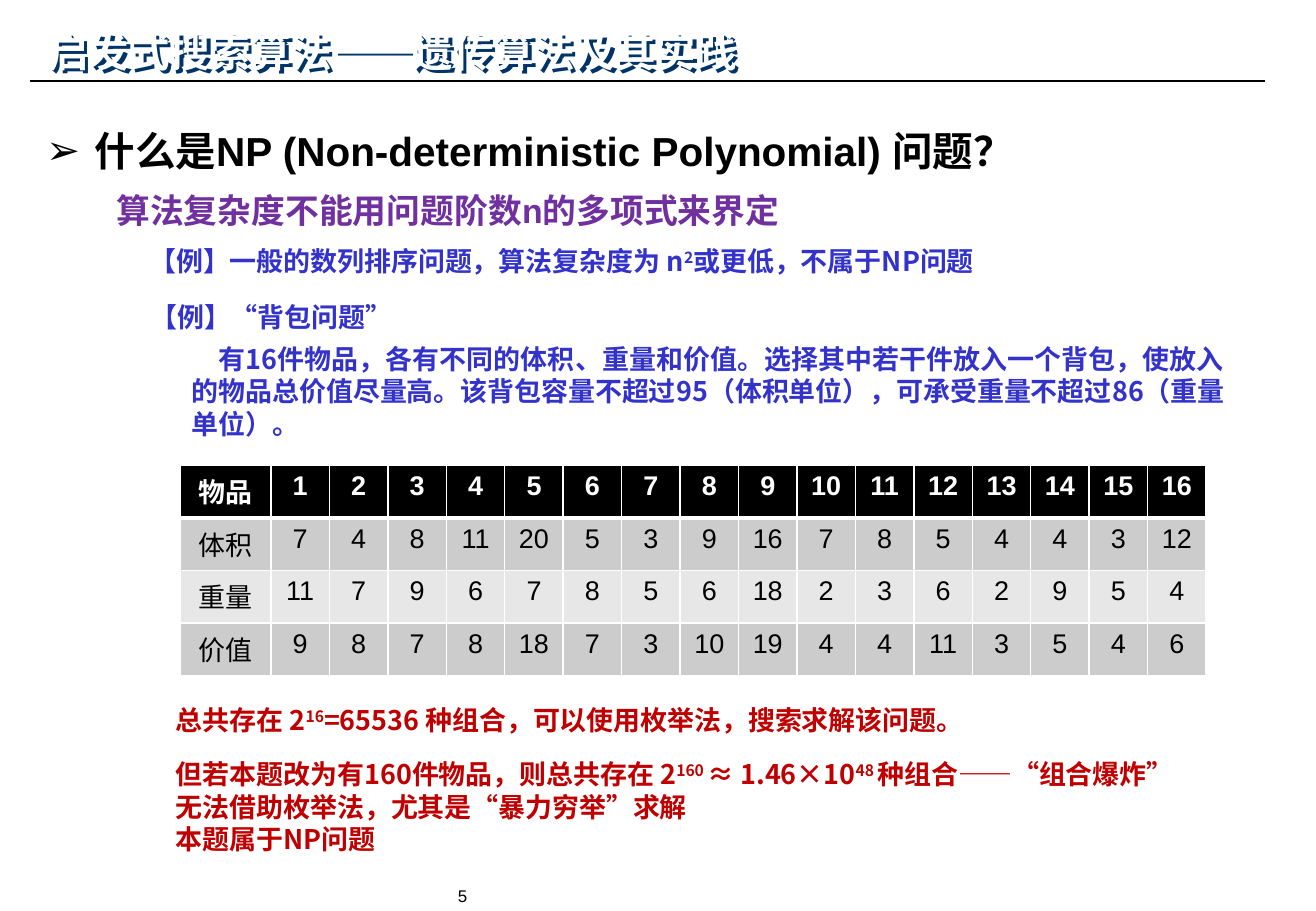
"""Build the slide on NP problems and the knapsack example."""
from lxml import etree
from pptx import Presentation
from pptx.dml.color import RGBColor
from pptx.enum import shapes, text
from pptx.oxml import ns
from pptx.util import Pt

COLORS = {
    "black": "000000", "white": "FFFFFF", "shadow": "003366",
    "purple": "7030A0", "blue": "3333CC", "red": "C00000",
    "dark_band": "CCCCCC", "light_band": "E7E7E7",
}
LATIN, CHINESE = "Arial", "Noto Sans CJK SC"
ITEMS = [
    ["物品", *range(1, 17)],
    ["体积", 7, 4, 8, 11, 20, 5, 3, 9, 16, 7, 8, 5, 4, 4, 3, 12],
    ["重量", 11, 7, 9, 6, 7, 8, 5, 6, 18, 2, 3, 6, 2, 9, 5, 4],
    ["价值", 9, 8, 7, 8, 18, 7, 3, 10, 19, 4, 4, 11, 3, 5, 4, 6],
]
BODY_BOXES = [
    (81.4, 143.3, 668, 21, "blue", ["【例】一般的数列排序问题，算法复杂度为 n^2^或更低，不属于NP问题"], 0),
    (82, 176.4, 668, 21, "blue", ["【例】“背包问题”"], 0),
    (106.6, 201.6, 626.4, 60, "blue", [
        "有16件物品，各有不同的体积、重量和价值。选择其中若干件放入一个背包，使放入的物品总价值尽量高。"
        "该背包容量不超过95（体积单位），可承受重量不超过86（重量单位）。"], 16),
    (97.2, 415.4, 626.4, 21, "red", [
        "总共存在 2^16^=65536 种组合，可以使用枚举法，搜索求解该问题。"], 0),
    (97.2, 447.8, 626.4, 60, "red", [
        "但若本题改为有160件物品，则总共存在 2^160 ^≈ 1.46×10^48 ^种组合——“组合爆炸”",
        "无法借助枚举法，尤其是“暴力穷举”求解",
        "本题属于NP问题"], 0),
]


def rgb(name):
    """Return the named colour."""
    return RGBColor.from_string(COLORS[name])


def add_xml(parent, tag, **attributes):
    """Append a drawing element and return it."""
    return etree.SubElement(parent, ns.qn(tag), attributes)


def format_span(span, size, color, bold, font=LATIN):
    """Set the font of one run for both scripts."""
    span.font.size, span.font.bold, span.font.name = Pt(size), bold, font
    span.font.color.rgb = rgb(color)
    add_xml(span._r.get_or_add_rPr(), "a:ea", typeface=CHINESE)


def add_box(page, left, top, width, height, insets=(7.2, 3.6)):
    """Add an empty wrapping text box."""
    box = page.shapes.add_textbox(Pt(left), Pt(top), Pt(width), Pt(height))
    frame = box.text_frame
    frame.word_wrap = True
    frame.margin_left = frame.margin_right = Pt(insets[0])
    frame.margin_top = frame.margin_bottom = Pt(insets[1])
    return box


def add_label(page, bounds, label, size, color, bold=True):
    """Add a one-line text box."""
    box = add_box(page, *bounds)
    box.text_frame.text = label
    format_span(box.text_frame.paragraphs[0].runs[0], size, color, bold)
    return box


def add_shadow(box):
    """Give the text of a box a hard shadow."""
    effects = add_xml(box._element.spPr, "a:effectLst")
    shadow = add_xml(effects, "a:outerShdw", dist="35921", dir="2700000", algn="ctr", rotWithShape="0")
    add_xml(shadow, "a:srgbClr", val=COLORS["shadow"])


def add_bullet(para, mark, indent):
    """Give a paragraph a hanging bullet."""
    props = para._p.get_or_add_pPr()
    props.set("marL", str(Pt(indent)))
    props.set("indent", str(-Pt(indent)))
    add_xml(props, "a:buFont", typeface=LATIN)
    add_xml(props, "a:buChar", char=mark)


def add_body(page, left, top, width, height, color, lines, indent):
    """Add justified text in which carets enclose superscripts."""
    frame = add_box(page, left, top, width, height, (7.2, 1.5)).text_frame
    for index, line in enumerate(lines):
        para = frame.add_paragraph() if index else frame.paragraphs[0]
        para.alignment = text.PP_ALIGN.JUSTIFY
        para.line_spacing = Pt(19.2)
        para._p.get_or_add_pPr().set("indent", str(Pt(indent)))
        for part, words in enumerate(line.split("^")):
            span = para.add_run()
            span.text = words
            format_span(span, 16, color, True, CHINESE)
            if part % 2:
                span._r.get_or_add_rPr().set("baseline", "30000")


def add_borders(cell, widths):
    """Draw the left, right, top and bottom borders of a cell."""
    props = cell._tc.get_or_add_tcPr()
    for index, (side, width) in enumerate(zip("LRTB", widths)):
        line = etree.Element(ns.qn("a:ln" + side), w=str(Pt(width)))
        add_xml(add_xml(line, "a:solidFill"), "a:srgbClr", val=COLORS["white"])
        props.insert(index, line)


def add_items_table(page):
    """Add the table of item volumes, weights and values."""
    rows, columns = len(ITEMS), len(ITEMS[0])
    frame = page.shapes.add_table(rows, columns, Pt(106.6), Pt(275.8), Pt(608.4), Pt(124.8))
    table = frame.table
    for index, column in enumerate(table.columns):
        column.width = Pt(34.65 if index else 54)
    fills = ["black", "dark_band", "light_band", "dark_band"]
    for r, values in enumerate(ITEMS):
        table.rows[r].height = Pt(31.2)
        for c, value in enumerate(values):
            cell = table.cell(r, c)
            cell.text = str(value)
            cell.fill.solid()
            cell.fill.fore_color.rgb = rgb(fills[r])
            add_borders(cell, (1, 1, 3 if r == 1 else 1, 3 if r == 0 else 1))
            para = cell.text_frame.paragraphs[0]
            para.alignment = text.PP_ALIGN.CENTER
            format_span(para.runs[0], 16, "black" if r else "white", r == 0)


def add_rule(page):
    """Add the line under the title."""
    rule = page.shapes.add_connector(shapes.MSO_CONNECTOR.STRAIGHT, Pt(18), Pt(48), Pt(750), Pt(48))
    rule.line.color.rgb = rgb("black")
    rule.line.width = Pt(0.75)
    add_xml(rule._element.spPr, "a:effectLst")


def main():
    """Build and save the deck."""
    deck = Presentation()
    deck.slide_width, deck.slide_height = Pt(780), Pt(540)
    page = deck.slides.add_slide(deck.slide_layouts[6])
    add_rule(page)
    add_label(page, (266.4, 522, 247, 18, (5, 2.9)), "5", 10, "black", False)
    title = add_label(page, (21.6, 12.2, 663, 36), "启发式搜索算法——遗传算法及其实践", 24, "white")
    title.text_frame.vertical_anchor = text.MSO_ANCHOR.MIDDLE
    add_shadow(title)
    question = add_label(page, (20.2, 71.3, 712.8, 36),
                         "什么是NP (Non-deterministic Polynomial) 问题？", 24, "black")
    add_bullet(question.text_frame.paragraphs[0], "➢", 28.8)
    add_label(page, (61.9, 108.7, 707, 31.7), "算法复杂度不能用问题阶数n的多项式来界定", 20, "purple")
    for body in BODY_BOXES:
        add_body(page, *body)
    add_items_table(page)
    deck.save("out.pptx")


if __name__ == "__main__":
    main()
